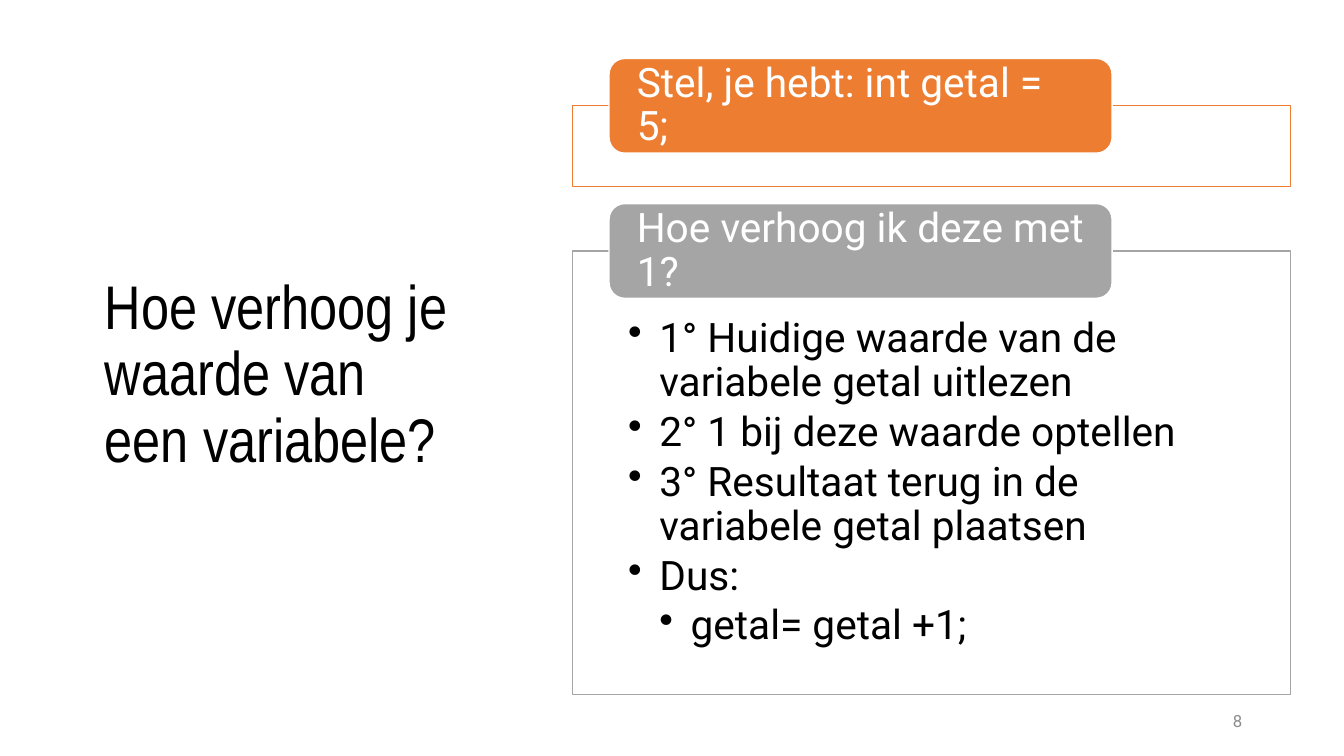
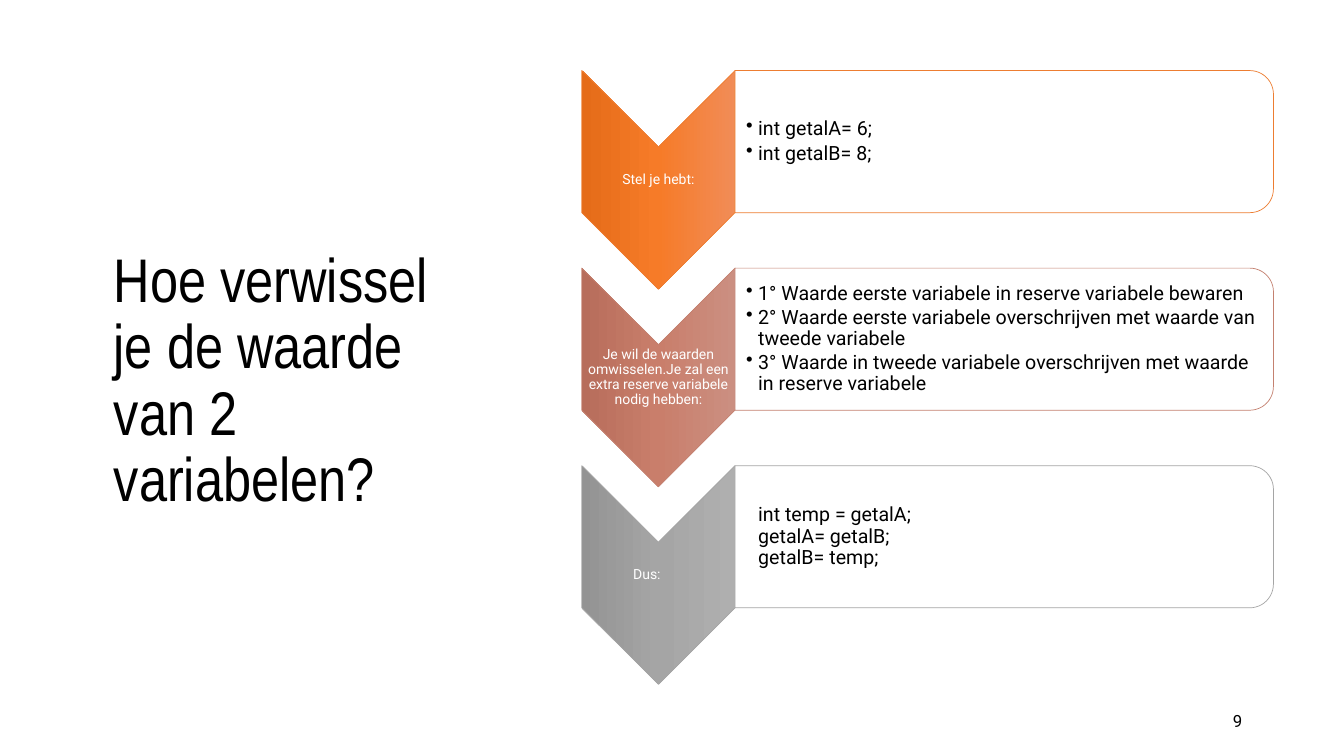
from copy import deepcopy

from pptx import Presentation
from pptx.dml.color import RGBColor
from pptx.enum.shapes import MSO_SHAPE as SHAPE
from pptx.enum.text import MSO_ANCHOR as ANCHOR, PP_ALIGN as ALIGN
from pptx.oxml.ns import qn
from pptx.util import Inches, Pt

BLACK = RGBColor(0x00, 0x00, 0x00)
WHITE = RGBColor(0xFF, 0xFF, 0xFF)
MUTED = RGBColor(0x8C, 0x8C, 0x8C)
ORANGE = RGBColor(0xED, 0x7D, 0x31)
CLAY = RGBColor(0xC4, 0x81, 0x70)
GRAY = RGBColor(0xA5, 0xA5, 0xA5)
ORANGE_FADE = (RGBColor(0xF1, 0x8C, 0x57), RGBColor(0xF6, 0x7B, 0x28),
               RGBColor(0xE5, 0x6C, 0x19))
CLAY_FADE = (RGBColor(0xCB, 0x8F, 0x81), RGBColor(0xC9, 0x7E, 0x6B),
             RGBColor(0xB7, 0x6D, 0x5B))
GRAY_FADE = (RGBColor(0xAF, 0xAF, 0xAF), GRAY, RGBColor(0x93, 0x93, 0x93))


class Deck:
    TITLE_FONT, BODY_FONT = "Arial Narrow", "Roboto"
    DEFAULT_INSETS = (0.1, 0.05, 0.1, 0.05)
    TIGHT_INSETS = (0.01,) * 4

    def __init__(self):
        self.prs = Presentation()
        self.prs.slide_width, self.prs.slide_height = Inches(13.33), Inches(7.5)

    def new_slide(self, title, box, number, number_color):
        self.s = self.prs.slides.add_slide(self.prs.slide_layouts[6])
        tf = self.frame(self.s.shapes.add_textbox(*map(Inches, box)))
        self.para(tf, title, 44, font=self.TITLE_FONT)
        tf = self.frame(self.s.shapes.add_textbox(
            *map(Inches, (11.73, 6.95, 0.69, 0.4))))
        self.para(tf, number, 12, number_color, align=ALIGN.RIGHT, spacing=1)

    def frame(self, sp, insets=DEFAULT_INSETS, anchor=ANCHOR.MIDDLE):
        """Prepare the text frame of a shape and return it."""
        tf = sp.text_frame
        tf.word_wrap = True
        tf.vertical_anchor = anchor
        (tf.margin_left, tf.margin_top,
         tf.margin_right, tf.margin_bottom) = map(Inches, insets)
        return tf

    def para(self, tf, text, size, color=BLACK, font=BODY_FONT,
             align=ALIGN.LEFT, spacing=0.9):
        """Fill the first paragraph, or add one; newlines become line breaks."""
        p = tf.paragraphs[0]
        if p.runs:
            p = tf.add_paragraph()
        p.alignment, p.line_spacing = align, spacing
        for i, line in enumerate(text.split("\n")):
            if i:
                p.add_line_break()
            r = p.add_run()
            r.text = line
            r.font.name, r.font.size = font, Pt(size)
            r.font.color.rgb = color
        return p

    def bullets(self, tf, items, size, indent, bullet="•"):
        """Add (level, text) items, hanging by indent inches per level."""
        for level, text in items:
            p = self.para(tf, text, size)
            p.space_after = Pt(0.15 * size)
            pPr = p._p.get_or_add_pPr()
            pPr.set("marL", str(Inches(indent * level)))
            pPr.set("indent", str(-Inches(indent)))
            if bullet:
                bu = pPr.makeelement(qn("a:buChar"), {"char": bullet})
                pPr.append(bu)

    def shape(self, kind, box, line, width, fill=None, turned=False):
        """Draw a shape in its visible box, translucent white without a fill."""
        x, y, w, h = box
        if turned:
            x, y, w, h = x + (w - h) / 2, y + (h - w) / 2, h, w
        sp = self.s.shapes.add_shape(kind, *map(Inches, (x, y, w, h)))
        sp.rotation = 90 if turned else 0
        sp.shadow.inherit = False
        sp.line.color.rgb, sp.line.width = line, Pt(width)
        sp.fill.solid()
        sp.fill.fore_color.rgb = fill or WHITE
        if not fill:
            clr = sp._element.spPr.find(qn("a:solidFill"))[0]
            clr.append(clr.makeelement(qn("a:alpha"), {"val": "90000"}))
        return sp

    def fade(self, sp, colors):
        """Fill a shape with an evenly spaced gradient of three colours."""
        sp.fill.gradient()
        sp.fill.gradient_angle = 270
        gs_lst = sp._element.spPr.find(qn("a:gradFill")).find(qn("a:gsLst"))
        gs_lst.insert(1, deepcopy(gs_lst[0]))
        for i, (stop, color) in enumerate(zip(sp.fill.gradient_stops, colors)):
            stop.position = i / 2
            stop.color.rgb = color

    def section(self, top, height, color, heading, items=()):
        """Outlined box with a heading tab across its top edge."""
        box = self.shape(SHAPE.RECTANGLE, (5.68, top, 7.12, height), color, 1)
        if items:
            tf = self.frame(box, (0.55, 0.66, 0.55, 0.23), ANCHOR.TOP)
            self.bullets(tf, items, 29, 0.31)
        tab = self.shape(SHAPE.ROUNDED_RECTANGLE,
                         (6.04, top - 0.47, 4.99, 0.94), WHITE, 1, color)
        self.para(self.frame(tab, (0.23, 0, 0.23, 0)), heading, 29, WHITE)

    def step(self, top, color, colors, label, lines, bullet="•"):
        """Downward chevron with a label, and a panel to its right."""
        chevron = self.shape(SHAPE.CHEVRON, (5.77, top, 1.52, 2.17), color, 0.5,
                             turned=True)
        self.fade(chevron, colors)
        sp = self.s.shapes.add_textbox(
            *map(Inches, (5.77, top + 0.76, 1.52, 0.65)))
        self.para(self.frame(sp, self.TIGHT_INSETS), label, 10, WHITE,
                  align=ALIGN.CENTER)
        self.shape(SHAPE.ROUND_2_SAME_RECTANGLE, (7.29, top, 5.34, 1.41),
                   color, 0.5, turned=True)
        sp = self.s.shapes.add_textbox(
            *map(Inches, (7.29, top + 0.07, 5.27, 1.27)))
        tf = self.frame(sp, (0.11, 0.01, 0.01, 0.01))
        self.bullets(tf, [(1, line) for line in lines], 14, 0.12, bullet)


def main():
    deck = Deck()

    deck.new_slide("Hoe verhoog je waarde van een variabele?",
                   (0.94, 1.11, 3.74, 5.24), "8", MUTED)
    deck.section(1.05, 0.8, ORANGE, "Stel, je hebt: int getal = 5;")
    deck.section(2.49, 4.4, GRAY, "Hoe verhoog ik deze met 1?", [
        (1, "1° Huidige waarde van de variabele getal uitlezen"),
        (1, "2° 1 bij deze waarde optellen"),
        (1, "3° Resultaat terug in de variabele getal plaatsen"),
        (1, "Dus:"),
        (2, "getal= getal +1;"),
    ])

    deck.new_slide("Hoe verwissel je de waarde van 2 variabelen?",
                   (1.03, 0.78, 3.69, 6.02), "9", BLACK)
    steps = [
        (ORANGE, ORANGE_FADE, "Stel je hebt:",
         ["int getalA= 6;", "int getalB= 8;"]),
        (CLAY, CLAY_FADE,
         "Je wil de waarden omwisselen.Je zal een extra reserve variabele "
         "nodig hebben:",
         ["1° Waarde eerste variabele in reserve variabele bewaren",
          "2° Waarde eerste variabele overschrijven met waarde van tweede "
          "variabele",
          "3° Waarde in tweede variabele overschrijven met waarde in reserve "
          "variabele"]),
        (GRAY, GRAY_FADE, "Dus:\t",
         ["\tint temp = getalA;\ngetalA= getalB;\ngetalB= temp;"], None),
    ]
    for i, step in enumerate(steps):
        deck.step(0.7 + 1.96 * i, *step)

    deck.prs.save("out.pptx")


if __name__ == "__main__":
    main()
